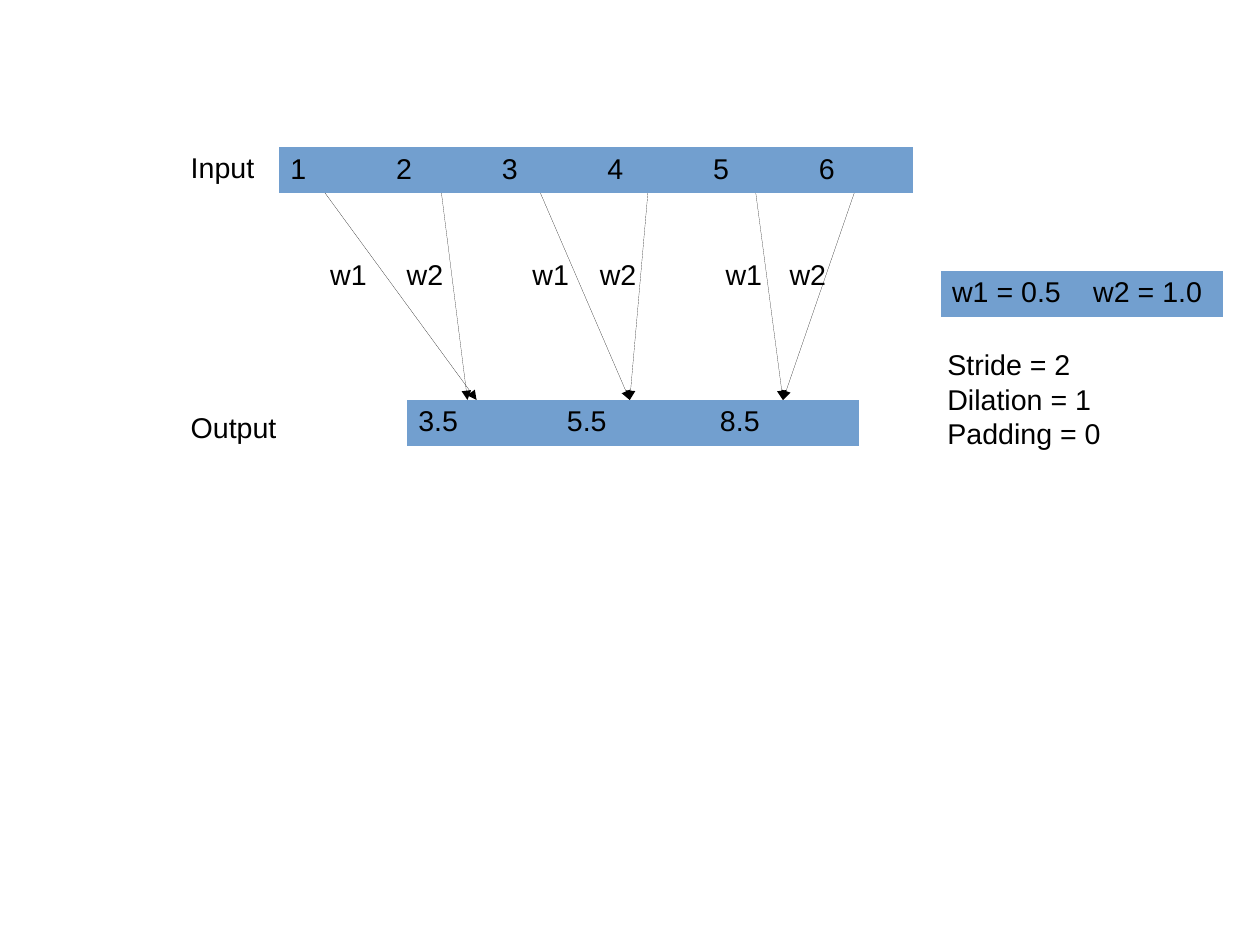
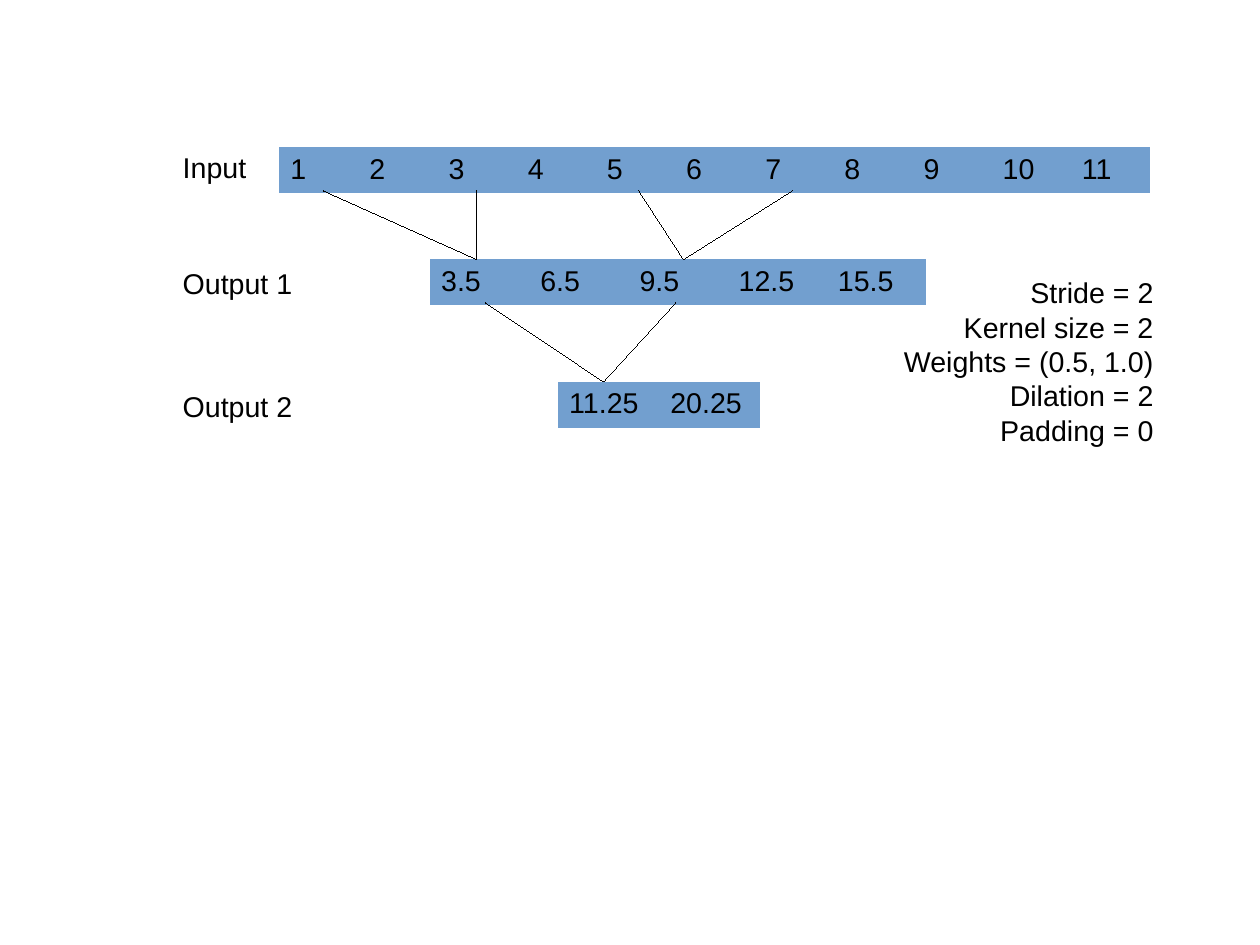
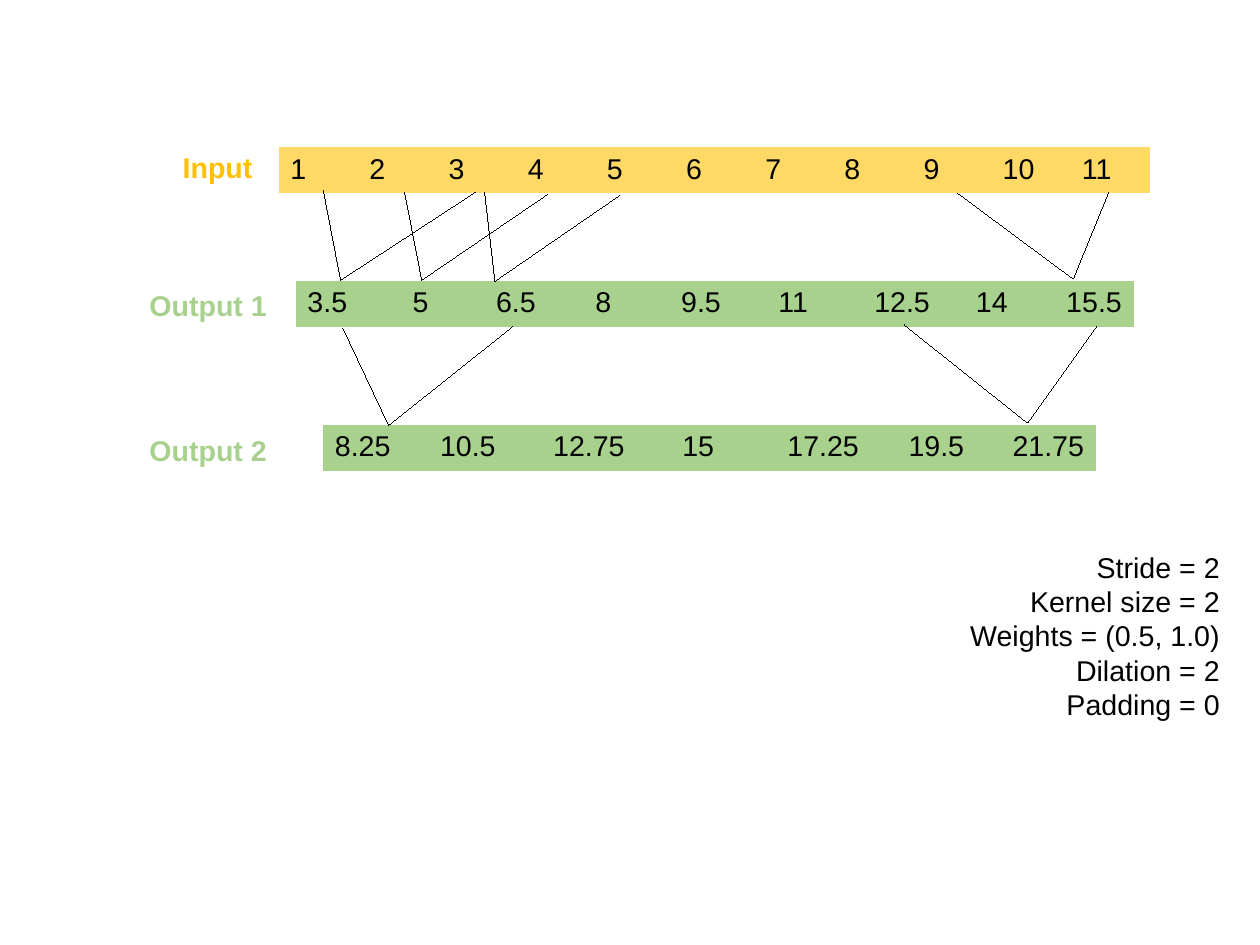
from dataclasses import dataclass
from functools import singledispatch
from itertools import zip_longest
from typing import Any

from lxml.etree import SubElement
from pptx import Presentation
from pptx.dml.color import RGBColor
from pptx.enum.shapes import MSO_CONNECTOR
from pptx.enum.text import PP_ALIGN
from pptx.oxml.ns import qn
from pptx.slide import Slide
from pptx.util import Inches, Pt

HUES = {"ink": "000000", "blue": "729FCF", "gold": "FFD966",
        "amber": "FFC000", "green": "A9D18E"}
FONT = {"name": "Arial", "size": Pt(18)}
CELL = {"margin_left": Inches(0.1), "margin_right": Inches(0),
        "margin_top": Inches(0.05), "margin_bottom": Inches(0.05)}
PLAIN = {"first_row": False, "horz_banding": False}
GRID = "{2D5ABB26-0587-4C30-8999-92F81FD0307C}"
HIGH = 0.4
STEP = 0.07
METRIC = 2.54


@dataclass
class Label:
    text: str
    left: float
    top: float
    wide: float
    high: float = 0.39
    hue: str = "ink"
    bold: bool = False
    right: bool = False


@dataclass
class Row:
    cells: list[str]
    left: float
    top: float
    wide: float
    hue: str = "blue"
    cols: tuple[float, ...] = ()
    pads: tuple[int, ...] = ()


@dataclass
class Fan:
    tip: tuple[float, float]
    ends: tuple[tuple[float, float], ...]
    arrow: bool = False


def put(item: Any, vals: dict[str, Any]) -> None:
    for key, val in vals.items():
        setattr(item, key, val)


def tint(name: str) -> RGBColor:
    return RGBColor.from_string(HUES[name])


def style(par: Any, hue: str = "ink", bold: bool = False) -> None:
    for run in par.runs:
        put(run.font, FONT | {"bold": bold})
        run.font.color.rgb = tint(hue)


@singledispatch
def draw(item: Any, page: Slide) -> None:
    raise TypeError(item)


@draw.register
def draw_label(item: Label, page: Slide) -> None:
    box = page.shapes.add_textbox(Inches(item.left), Inches(item.top),
                                  Inches(item.wide), Inches(item.high))
    frame = box.text_frame
    inner, outer = Inches(0.1), Inches(0)
    put(frame, {"word_wrap": True, "text": item.text,
                "margin_left": outer if item.right else inner,
                "margin_right": inner if item.right else outer})
    for par in frame.paragraphs:
        style(par, item.hue, item.bold)
        par.alignment = PP_ALIGN.RIGHT if item.right else PP_ALIGN.LEFT


@draw.register
def draw_row(item: Row, page: Slide) -> None:
    count = len(item.cells)
    table = page.shapes.add_table(1, count, Inches(item.left), Inches(item.top),
                                  Inches(item.wide), Inches(HIGH)).table
    put(table, PLAIN)
    table._tbl.tblPr.find(qn("a:tableStyleId")).text = GRID
    cols = item.cols or (item.wide / count,) * count
    for spot, (text, wide, pad) in enumerate(
            zip_longest(item.cells, cols, item.pads, fillvalue=0)):
        table.columns[spot].width = Inches(wide)
        cell = table.cell(0, spot)
        put(cell, CELL | {"text": text, "margin_left": Inches(0.1 + pad * STEP)})
        cell.fill.solid()
        cell.fill.fore_color.rgb = tint(item.hue)
        style(cell.text_frame.paragraphs[0])


@draw.register
def draw_fan(item: Fan, page: Slide) -> None:
    for end in item.ends:
        link = page.shapes.add_connector(
            MSO_CONNECTOR.STRAIGHT, *(Inches(val) for val in end + item.tip))
        link.line.color.rgb = tint("ink")
        edge = link._element.spPr.find(qn("a:ln"))
        edge.set("w", "0")
        if item.arrow:
            SubElement(edge, qn("a:tailEnd"), type="triangle")
        SubElement(link._element.spPr, qn("a:effectLst"))


def facts(left: float, top: float) -> Label:
    text = "Stride = 2\nKernel size = 2\nWeights = (0.5, 1.0)\nDilation = 2\nPadding = 0"
    return Label(text, left, top, 2.39, 1.5, right=True)


def count_row(last: int, wide: float, hue: str = "blue") -> Row:
    return Row([str(num) for num in range(1, last + 1)], 2.44, 1.29, wide, hue)


stride = [
    *(Fan((tip, 3.5), tuple((end, 1.67) for end in ends), True)
      for tip, ends in ((4.17, (2.83,)), (4.09, (3.86,)),
                        (5.51, (4.72, 5.67)), (6.85, (6.61, 7.48)))),
    *(Label(name, left, 2.2, 0.52)
      for name, spots in (("w1", (2.79, 4.56, 6.25)), ("w2", (3.46, 5.15, 6.81)))
      for left in spots),
    Label("Stride = 2\nDilation = 1\nPadding = 0", 8.19, 2.99, 1.54, 0.94),
    Label("Input", 1.57, 1.26, 1.02, 0.66),
    Label("Output", 1.57, 3.54, 1.18),
    count_row(6, 5.55),
    Row(["w1 = 0.5", "w2 = 1.0"], 8.23, 2.37, 2.47),
    Row(["3.5", "", "8.5"], 3.56, 3.5, 3.96),
    Row(["5.5"], 4.86, 3.5, 1.32),
]

sparse = [
    count_row(11, 7.62),
    Row("3.5 6.5 9.5 12.5 15.5".split(), 3.76, 2.27, 4.34),
    Row("11.25 20.25".split(), 4.88, 3.34, 1.77),
    Label("Input", 1.5, 1.26, 1.02, 0.66),
    *(Label(name, 1.5, top, 1.18)
      for name, top in (("Output 1", 2.28), ("Output 2", 3.35))),
    Fan((5.28, 3.34), ((4.25, 2.65), (5.91, 2.65))),
    Fan((4.17, 2.27), ((2.83, 1.67), (4.17, 1.67))),
    Fan((5.98, 2.27), ((5.59, 1.67), (6.93, 1.67))),
    facts(7.8, 2.36),
]

dense = [
    count_row(11, 7.62, "gold"),
    Row("3.5 5 6.5 8 9.5 11 12.5 14 15.5".split(), 2.59, 2.46, 7.33, "green",
        (0.71, 0.73, 0.87, 0.75, 0.92, 0.84, 0.89, 0.79, 0.83),
        (0, 3, 3, 3, 3, 2, 2, 2, 2)),
    Row("8.25 10.5 12.75 15 17.25 19.5 21.75".split(), 2.83, 3.72, 6.76, "green",
        (0.85, 0.99, 0.99, 0.99, 1.06, 0.91, 0.97), (0, 1, 1, 3, 2, 2, 2)),
    Label("Input", 1.5, 1.26, 0.82, 0.68, "amber", True),
    *(Label(name, 1.21, top, 1.24, hue="green", bold=True)
      for name, top in (("Output 1", 2.47), ("Output 2", 3.74))),
    Fan((3.4, 3.72), ((3, 2.87), (4.48, 2.86))),
    Fan((8.99, 3.7), ((7.91, 2.84), (9.59, 2.86))),
    Fan((2.98, 2.45), ((2.83, 1.67), (4.16, 1.68))),
    Fan((3.69, 2.45), ((3.54, 1.68), (4.79, 1.7))),
    Fan((4.33, 2.46), ((4.24, 1.68), (5.42, 1.71))),
    Fan((9.39, 2.44), ((8.38, 1.69), (9.7, 1.68))),
    facts(8.38, 4.76),
]

deck = Presentation()
deck.slide_width = Inches(28 / METRIC)
deck.slide_height = Inches(21 / METRIC)
for items in (stride, sparse, dense):
    page = deck.slides.add_slide(deck.slide_layouts[6])
    for item in items:
        draw(item, page)
deck.save("out.pptx")
